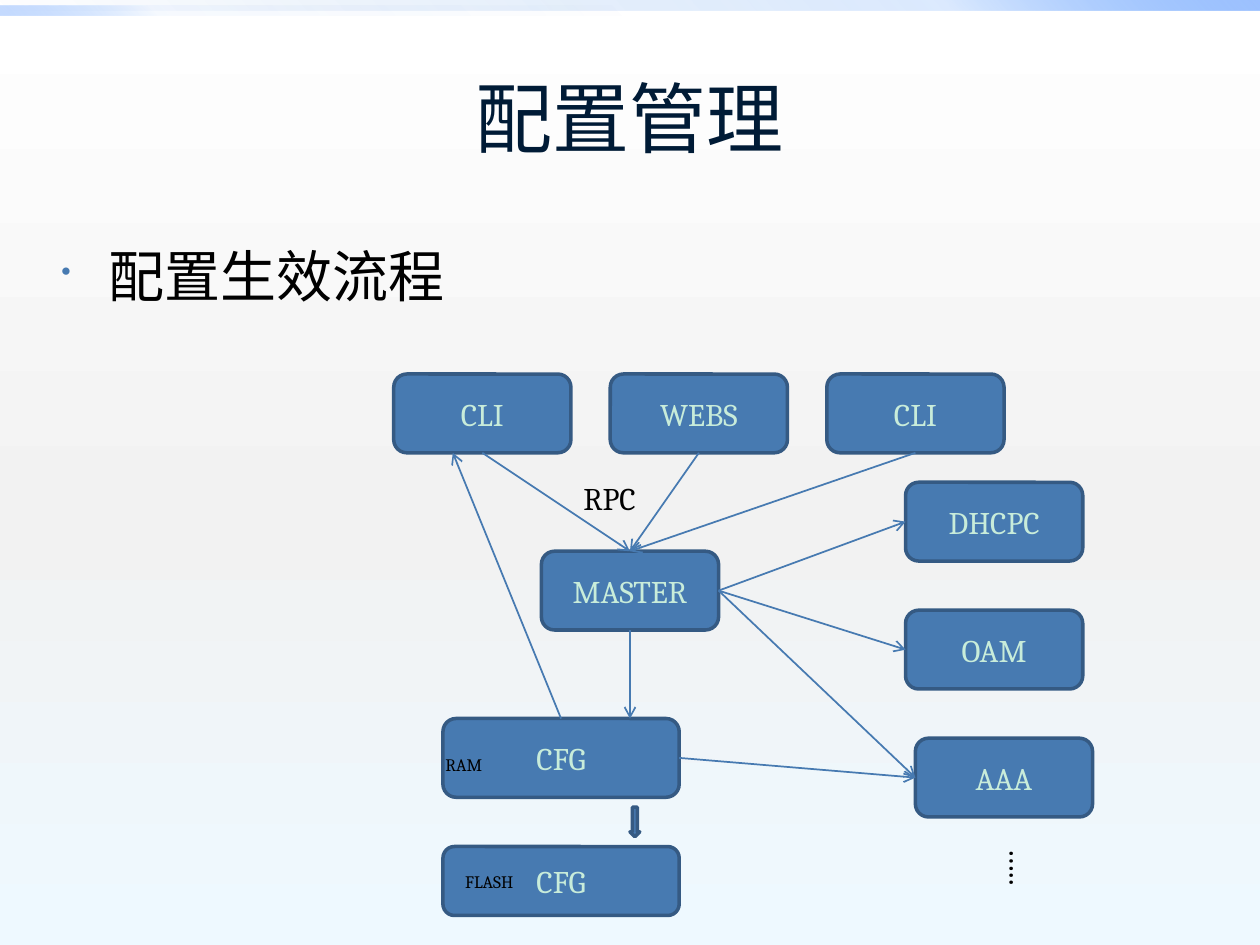
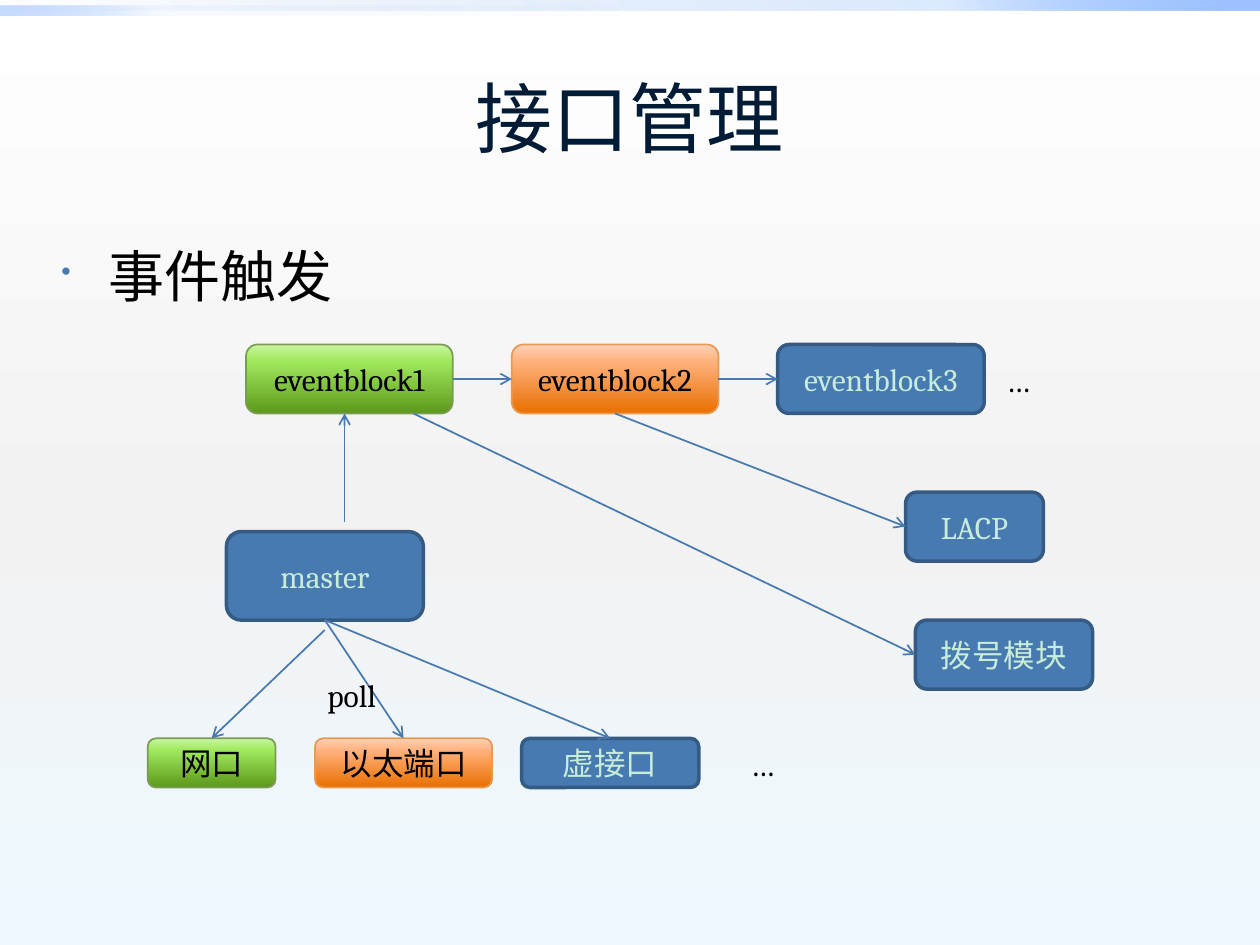
from lxml import etree
from pptx import Presentation
from pptx.dml.color import RGBColor
from pptx.enum import shapes, text
from pptx.oxml.ns import qn
from pptx.util import Pt

HUES = {
    "blue": "477AB1", "edge": "355A83", "mint": "C8ECDA",
    "navy": "001B36", "black": "000000",
    "moss": "7B9B57", "amber": "E89A53",
}
# Gradient stops: position, colour, opacity (all in percent).
PAGE = [(0, "FFFFFF", 100), (55, "F2F2F2", 100), (100, "EEF9FF", 100)]
RIGHT = [(0, "0058B7", 0), (75, "4F95FF", 20), (100, "9EC2FF", 100)]
LEFT = [(0, "0058B7", 0), (75, "4F95FF", 5), (100, "9EC2FF", 60)]
GREEN = [(0, "5D981B", 100), (75, "9FE85C", 100), (100, "C8F7A1", 100)]
ORANGE = [(0, "E96F00", 100), (75, "FFB17C", 100), (100, "FFD1B8", 100)]
# Box styles: fill, line colour, line width, text colour.
STYLES = {
    "blue": ("blue", "edge", 2, "mint"),
    "green": (GREEN, "moss", 1, "black"),
    "orange": (ORANGE, "amber", 1, "black"),
}
KIND = shapes.MSO_SHAPE
TOP, SIDE, BASE, END = range(4)  # connection sites of a box


def hue(name):
    return RGBColor.from_string(HUES[name])


def add(node, tag, **attrs):
    return etree.SubElement(node, qn("a:" + tag), attrs)


def blend(fill, node, stops, angle):
    """Give the fill found below node a linear gradient, angle clockwise."""
    fill.gradient()
    grad = next(node.iter(qn("a:gradFill")))
    for child in list(grad):
        grad.remove(child)
    row = add(grad, "gsLst")
    for place, color, alpha in stops:
        stop = add(row, "gs", pos=str(place * 1000))
        tone = add(stop, "srgbClr", val=color)
        if alpha < 100:
            add(tone, "alpha", val=str(alpha * 1000))
    add(grad, "lin", ang=str(angle * 60000), scaled="0")


def write(frame, words, size, color="black", font="Cambria", align=None):
    frame.text = words
    para = frame.paragraphs[0]
    para.alignment = align
    para.font.size = Pt(size)
    para.font.name = font
    para.font.color.rgb = hue(color)
    return para


def shape(slide, kind, x, y, w, h, fill, angle=270):
    item = slide.shapes.add_shape(kind, Pt(x), Pt(y), Pt(w), Pt(h))
    item.shadow.inherit = False
    if isinstance(fill, str):
        item.fill.solid()
        item.fill.fore_color.rgb = hue(fill)
    else:
        blend(item.fill, item._element.spPr, fill, angle)
    return item


def trim(item, color, width):
    item.line.color.rgb = hue(color)
    item.line.width = Pt(width)


def band(slide, y, w, stops, angle):
    shape(slide, KIND.RECTANGLE, 0, y, w, 6, stops, angle).line.fill.background()


def box(slide, words, x, y, w=101.25, h=45, style="blue"):
    fill, edge, width, ink = STYLES[style]
    item = shape(slide, KIND.ROUNDED_RECTANGLE, x, y, w, h, fill)
    trim(item, edge, width)
    item.text_frame.vertical_anchor = text.MSO_ANCHOR.MIDDLE
    write(item.text_frame, words, 18, ink, align=text.PP_ALIGN.CENTER)
    return item


def label(slide, words, x, y, w, h=29, size=18, wrap=False):
    item = slide.shapes.add_textbox(Pt(x), Pt(y), Pt(w), Pt(h))
    item.text_frame.word_wrap = wrap
    write(item.text_frame, words, size)
    return item


def arrow(slide, start, stop):
    """Join two ends, each a (box, site) pair or an (x, y) point."""
    line = slide.shapes.add_connector(shapes.MSO_CONNECTOR.STRAIGHT, 0, 0, 0, 0)
    if isinstance(start[0], (int, float)):
        line.begin_x, line.begin_y = map(Pt, start)
    else:
        line.begin_connect(*start)
    if isinstance(stop[0], (int, float)):
        line.end_x, line.end_y = map(Pt, stop)
    else:
        line.end_connect(*stop)
    trim(line, "blue", 1)
    add(line.line._get_or_add_ln(), "tailEnd", type="arrow")
    add(line._element.spPr, "effectLst")


def page(deck, title, topic):
    """Add a slide with its background, bands, title and bullet."""
    slide = deck.slides.add_slide(deck.slide_layouts[6])
    blend(slide.background.fill, slide._element, PAGE, 90)
    band(slide, 0, 720, RIGHT, 315)
    band(slide, 3, 360, LEFT, 135)

    body = label(slide, topic, 28, 134.5, 648, 382, 32, True)
    para = body.text_frame.paragraphs[0]
    para.space_before = Pt(6.4)
    props = para._p.get_or_add_pPr()
    props.set("marL", str(Pt(27)))
    props.set("indent", str(-Pt(27)))
    tint = etree.Element(qn("a:buClr"))
    add(tint, "srgbClr", val=HUES["blue"])
    dot = [tint, etree.Element(qn("a:buSzPct"), val="50000"),
           etree.Element(qn("a:buChar"), char="•")]
    spot = props.index(props.find(qn("a:spcBef"))) + 1
    props[spot:spot] = dot

    head = label(slide, "", 36, 21.6, 648, 90, 44, True).text_frame
    head.vertical_anchor = text.MSO_ANCHOR.MIDDLE
    write(head, title, 44, "navy", "Calibri", text.PP_ALIGN.CENTER)
    return slide


def config(deck):
    slide = page(deck, "配置管理", "配置生效流程")
    master = box(slide, "MASTER", 309.4, 315)
    users = [box(slide, name, 225 + 123.75 * i, 213.75)
             for i, name in enumerate(("CLI", "WEBS", "CLI"))]
    mods = [box(slide, name, x, 275.6 + 73.13 * i)
            for i, (name, x) in enumerate(
                (("DHCPC", 517.5), ("OAM", 517.5), ("AAA", 523.1)))]
    for user in users:
        arrow(slide, (user, BASE), (master, TOP))
    for mod in mods:
        arrow(slide, (master, END), (mod, SIDE))
    label(slide, "RPC", 326.25, 270, 84.4, wrap=True)
    dots = label(slide, "…..", 562.5, 478, 36)
    dots.text_frame._txBody.bodyPr.set("vert", "eaVert")

    box(slide, "CFG", 253.1, 483.75, 135, 39.4)
    cfg = box(slide, "CFG", 253.1, 410.6, 135)
    arrow(slide, (master, BASE), (360, 410.6))
    arrow(slide, (320.6, 410.6), (258.75, 258.75))
    arrow(slide, (cfg, END), (mods[-1], SIDE))
    save = shape(slide, KIND.DOWN_ARROW, 360, 461.25, 5.6, 16.9, "blue")
    trim(save, "edge", 2)
    label(slide, "RAM", 247.5, 427.5, 35.5, 19.4, 10)
    label(slide, "FLASH", 258.75, 494, 44, 19.4, 10)


def ports(deck):
    slide = page(deck, "接口管理", "事件触发")
    blocks = [box(slide, f"eventblock{i + 1}", 140.6 + 151.88 * i, 196.9,
                  118.1, 39.4, style)
              for i, style in enumerate(("green", "orange", "blue"))]
    for left, right in zip(blocks, blocks[1:]):
        arrow(slide, (left, END), (right, SIDE))
    label(slide, "…", 568, 202.5, 118, wrap=True)

    master = box(slide, "master", 129.4, 303.75, 112.5, 50.6)
    port, ether, virtual = [
        box(slide, name, x, 421.9, w, 28.1, style)
        for name, x, w, style in (("网口", 84.4, 73.1, "green"),
                                  ("以太端口", 180, 101.25, "orange"),
                                  ("虚接口", 298.1, 101.25, "blue"))]
    arrow(slide, (185.6, 360), (port, TOP))
    arrow(slide, (master, BASE), (ether, TOP))
    arrow(slide, (master, BASE), (virtual, TOP))
    label(slide, "…", 421.9, 421.9, 118, wrap=True)
    label(slide, "poll", 180, 382.5, 44)
    arrow(slide, (196.9, 298.1), (196.9, 236.3))

    lacp = box(slide, "LACP", 517.5, 281.25, 78.75, 39.4)
    dial = box(slide, "拨号模块", 523.1, 354.4, h=39.4)
    arrow(slide, (blocks[1], BASE), (lacp, SIDE))
    arrow(slide, (236.25, 236.3), (dial, SIDE))


def main():
    deck = Presentation()
    deck.slide_width, deck.slide_height = Pt(720), Pt(540)
    config(deck)
    ports(deck)
    deck.save("out.pptx")


if __name__ == "__main__":
    main()
